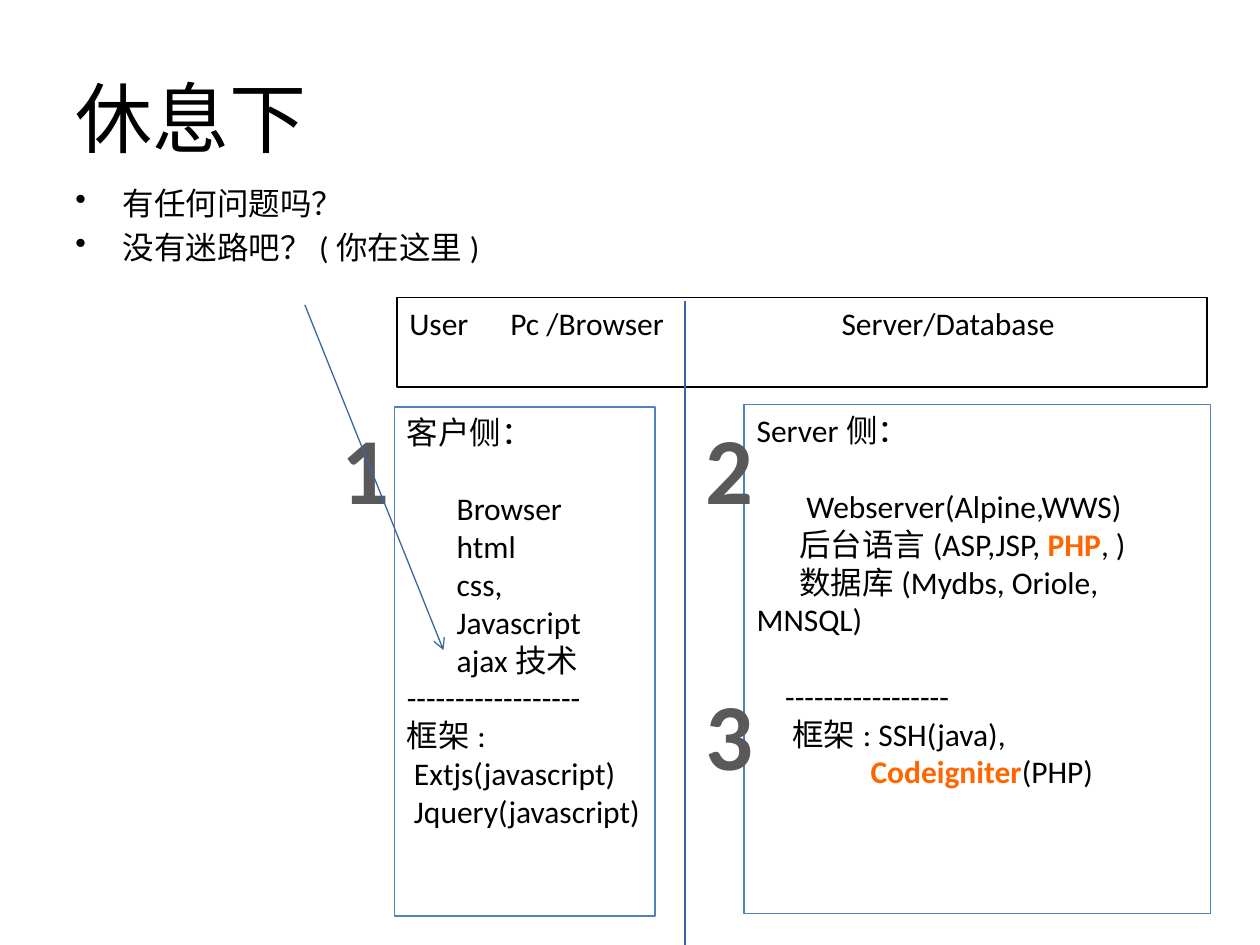
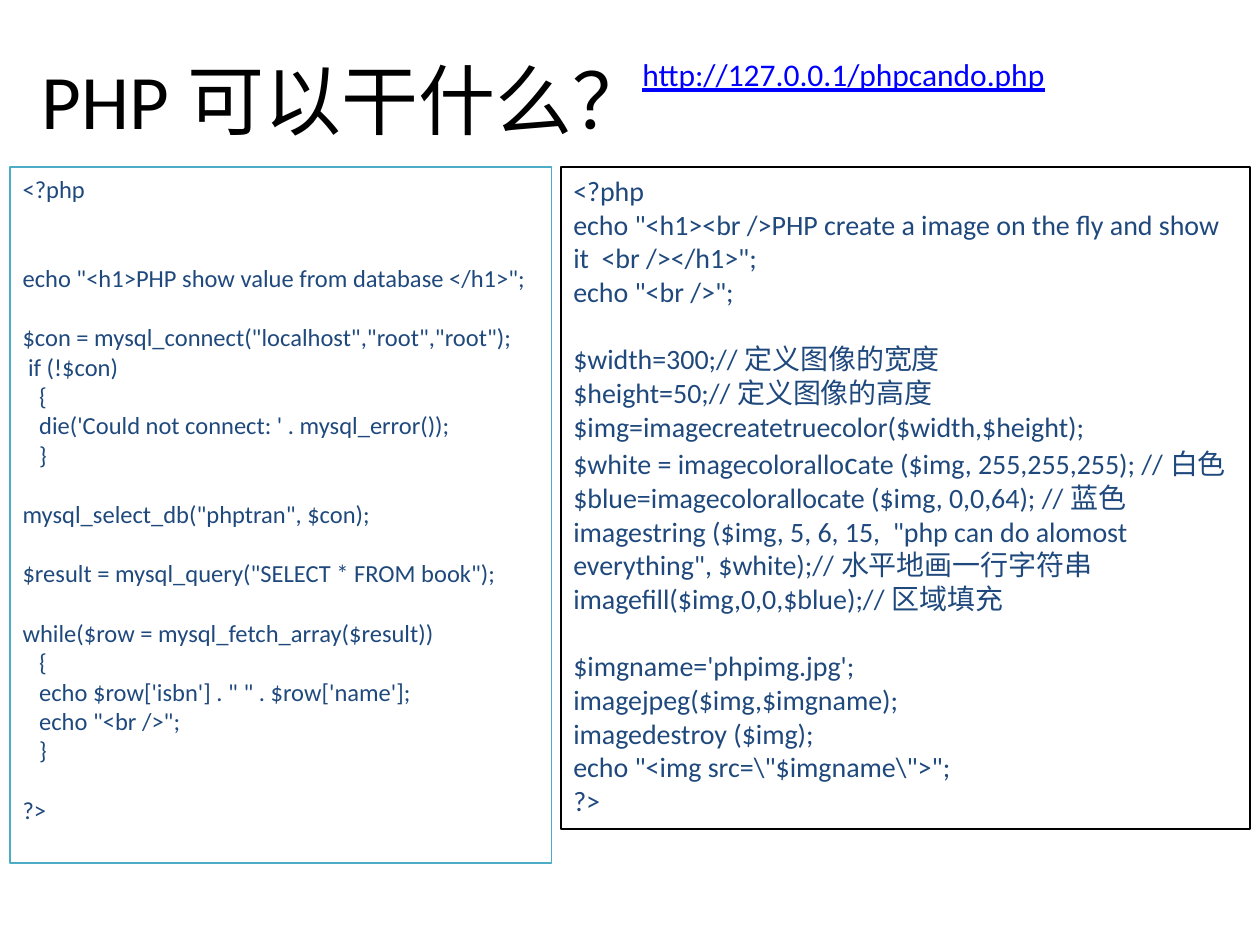
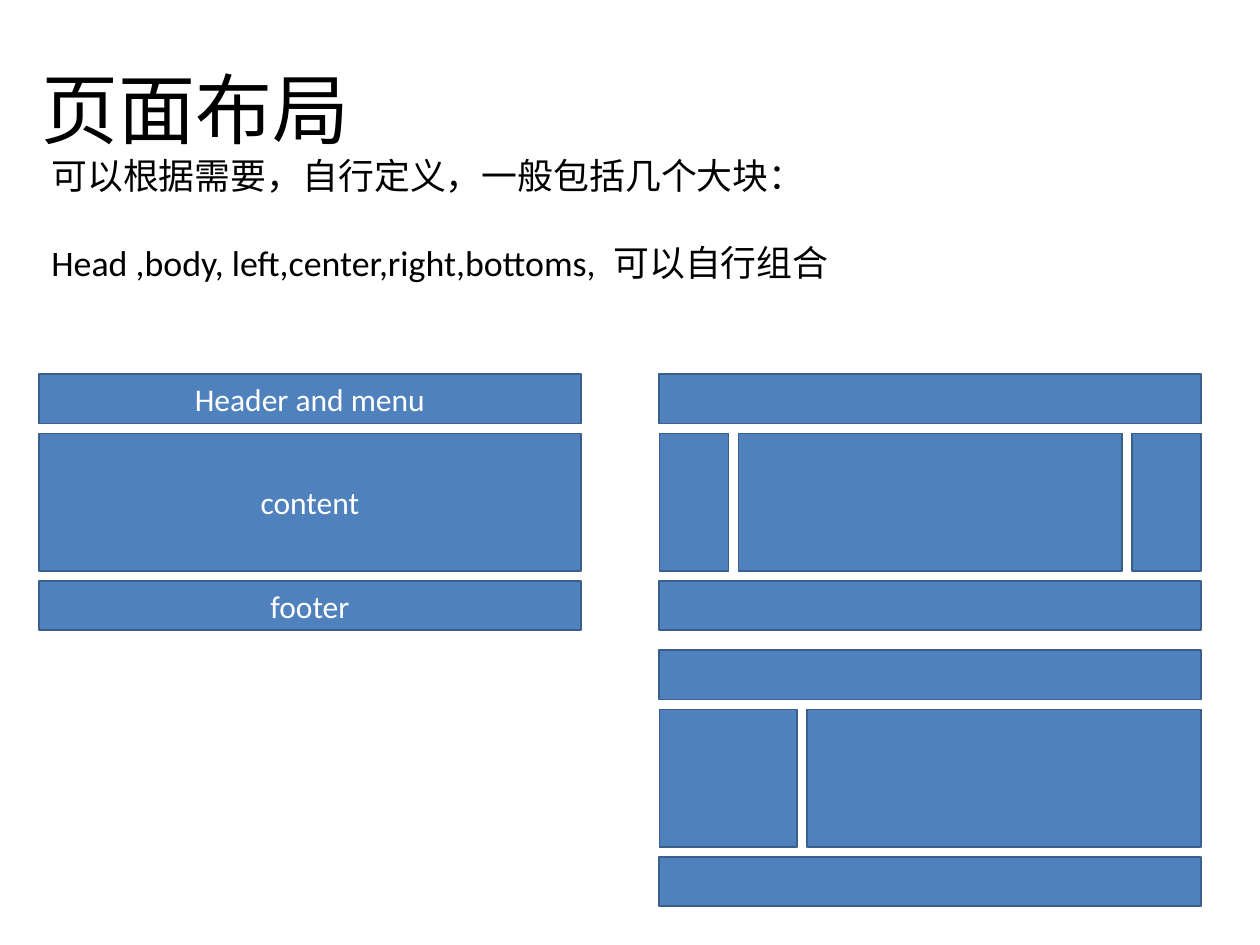
from dataclasses import dataclass

from lxml import etree
from pptx import Presentation
from pptx.dml.color import RGBColor
from pptx.enum import shapes, text
from pptx.oxml.ns import qn
from pptx.util import Pt


def rgb(value):
    return RGBColor.from_string(value)


@dataclass(frozen=True)
class Theme:
    font: str = "Calibri"
    black: RGBColor = rgb("000000")
    white: RGBColor = rgb("FFFFFF")
    blue: RGBColor = rgb("4F81BD")
    blue_edge: RGBColor = rgb("3A5F8C")
    connector: RGBColor = rgb("3B679C")
    teal: RGBColor = rgb("4BACC6")
    code: RGBColor = rgb("1F497D")
    link: RGBColor = rgb("0000FF")
    orange: RGBColor = rgb("FF6600")
    digit: RGBColor = rgb("595959")
    title_size: float = 44
    number_size: float = 54
    intro_size: float = 20.5
    body_size: float = 18
    code_size: float = 16
    small_code_size: float = 14
    line_height: float = 1.22
    space_width: float = 0.226


THEME = Theme()

CLIENT_TEXT = """客户侧：

       Browser
       html
       css,
       Javascript
       ajax技术
------------------
框架:
 Extjs(javascript)
 Jquery(javascript)"""

SERVER_TEXT = """Server侧：

       Webserver(Alpine,WWS)
      后台语言(ASP,JSP, «PHP», )
      数据库(Mydbs, Oriole, MNSQL)

    -----------------
     框架: SSH(java),
                «Codeigniter»(PHP)"""

DATABASE_CODE = """<?php


echo "<h1>PHP show value from database </h1>";

$con = mysql_connect("localhost","root","root");
 if (!$con)
   {
   die('Could not connect: ' . mysql_error());
   }

mysql_select_db("phptran", $con);

$result = mysql_query("SELECT * FROM book");

while($row = mysql_fetch_array($result))
   {
   echo $row['isbn'] . " " . $row['name'];
   echo "<br />";
   }

?>"""

IMAGE_CODE = r"""<?php
echo "<h1><br />PHP create a image on the fly and show it  <br /></h1>";
echo "<br />";

$width=300;//定义图像的宽度
$height=50;//定义图像的高度
$img=imagecreatetruecolor($width,$height);
$white = imagecolorallo«c»ate ($img, 255,255,255); //白色
$blue=imagecolorallocate ($img, 0,0,64); //蓝色
imagestring ($img, 5, 6, 15,  "php can do alomost everything", $white);//水平地画一行字符串
imagefill($img,0,0,$blue);//区域填充

$imgname='phpimg.jpg';
imagejpeg($img,$imgname);
imagedestroy ($img);
echo "<img src=\"$imgname\">";
?>"""


def set_font(font, size, color, bold=None):
    font.name = THEME.font
    font.size = Pt(size)
    font.color.rgb = color
    font.bold = bold


def highlight(font):
    font.bold = True
    font.color.rgb = THEME.orange


def enlarge(font):
    font.size = Pt(THEME.body_size)


def write_lines(frame, content, size, color=THEME.black, emphasis=highlight):
    """Blank lines become spacing, leading spaces become first-line indents."""
    blanks = 0
    paragraph = None
    for line in content.split("\n"):
        if not line:
            blanks += 1
            continue
        paragraph = frame.add_paragraph() if paragraph else frame.paragraphs[0]
        set_font(paragraph.font, size, color)
        paragraph.alignment = text.PP_ALIGN.LEFT
        paragraph.space_before = Pt(round(blanks * size * THEME.line_height, 1))
        blanks = 0
        spaces = len(line) - len(line.lstrip(" "))
        if spaces:
            indent = Pt(spaces * size * THEME.space_width)
            paragraph._p.get_or_add_pPr().set("indent", str(indent))
        for index, part in enumerate(line.strip().replace("»", "«").split("«")):
            run = paragraph.add_run()
            run.text = part
            if index % 2:
                emphasis(run.font)


def add_title(presentation, title, left, top):
    slide = presentation.slides.add_slide(presentation.slide_layouts[5])
    shape = slide.shapes.title
    shape.left, shape.top, shape.width, shape.height = map(Pt, (left, top, 648, 90))
    shape.text_frame.text = title
    shape.text_frame.vertical_anchor = text.MSO_ANCHOR.MIDDLE
    paragraph = shape.text_frame.paragraphs[0]
    paragraph.alignment = text.PP_ALIGN.LEFT
    set_font(paragraph.font, THEME.title_size, THEME.black)
    return slide


def add_box(slide, box, fill, edge):
    shape = slide.shapes.add_shape(shapes.MSO_SHAPE.RECTANGLE, *map(Pt, box))
    shape.shadow.inherit = False
    shape.fill.solid()
    shape.fill.fore_color.rgb = fill
    shape.line.color.rgb = edge
    shape.line.width = Pt(1)
    return shape


def add_panel(slide, box, edge, content, size, color=THEME.black, emphasis=highlight):
    frame = add_box(slide, box, THEME.white, edge).text_frame
    frame.vertical_anchor = text.MSO_ANCHOR.TOP
    write_lines(frame, content, size, color, emphasis)
    return frame


def add_label(slide, box, content, size, color=THEME.black, wrap=True):
    frame = slide.shapes.add_textbox(*map(Pt, box)).text_frame
    frame.word_wrap = wrap
    write_lines(frame, content, size, color)
    return frame


def add_line(slide, start, end, arrow=False):
    connector = slide.shapes.add_connector(
        shapes.MSO_CONNECTOR.STRAIGHT, *map(Pt, (*start, *end)))
    connector.line.color.rgb = THEME.connector
    connector.line.width = Pt(0.75)
    properties = connector._element.spPr
    if arrow:
        etree.SubElement(properties.find(qn("a:ln")), qn("a:tailEnd"), type="arrow")
    etree.SubElement(properties, qn("a:effectLst"))


def add_tab_stops(paragraph, positions):
    tabs = etree.SubElement(paragraph._p.get_or_add_pPr(), qn("a:tabLst"))
    for position in positions:
        etree.SubElement(tabs, qn("a:tab"), pos=str(Pt(position)), algn="l")


def add_bullets(slide, box, content):
    frame = add_label(slide, box, content, THEME.body_size)
    for paragraph in frame.paragraphs:
        paragraph.space_before = Pt(0.2 * THEME.body_size)
        properties = paragraph._p.get_or_add_pPr()
        properties.set("marL", str(Pt(27)))
        properties.set("indent", str(Pt(-27)))
        bullet = etree.Element(qn("a:buChar"), char="•")
        properties.find(qn("a:defRPr")).addprevious(bullet)


def add_tier_header(slide, box):
    frame = add_panel(slide, box, THEME.black,
                      "User\tPc /Browser\tServer/Database", THEME.body_size)
    paragraph = frame.paragraphs[0]
    add_tab_stops(paragraph, (57.8, 247))
    properties = paragraph._p.pPr
    properties.find(qn("a:defRPr")).addprevious(properties.find(qn("a:tabLst")))


def add_number(slide, left, top, number):
    frame = add_label(slide, (left, top, 37.5, 72.7), number,
                      THEME.number_size, THEME.digit)
    frame.paragraphs[0].alignment = text.PP_ALIGN.CENTER
    frame.paragraphs[0].font.bold = True


def add_page_layout(slide, left, top, columns, labels=()):
    width, gap = 309.6, 5.67
    rows = ((28.3, [None]), (78.5, columns), (28.3, [None]))
    labels = iter(labels)
    for height, cells in rows:
        fixed = sum(cell or 0 for cell in cells)
        flexible = width - fixed - gap * (len(cells) - 1)
        x = left
        for cell in cells:
            block_width = cell or flexible
            block = add_box(slide, (x, top, block_width, height),
                            THEME.blue, THEME.blue_edge)
            label = next(labels, None)
            if label:
                frame = block.text_frame
                frame.text = label
                frame.vertical_anchor = text.MSO_ANCHOR.MIDDLE
                frame.paragraphs[0].alignment = text.PP_ALIGN.CENTER
                set_font(frame.paragraphs[0].font, THEME.body_size, THEME.white)
            x += block_width + gap
        top += height + gap


def build_break_slide(presentation):
    slide = add_title(presentation, "休息下", 36, 21.6)
    add_bullets(slide, (36, 101.5, 648, 60), "有任何问题吗？\n没有迷路吧？(你在这里)")
    add_tier_header(slide, (226.8, 170, 463, 51))
    add_line(slide, (391.5, 172), (391.5, 540))
    add_panel(slide, (425.3, 231.2, 266.5, 290.8), THEME.blue,
              SERVER_TEXT, THEME.body_size)
    add_panel(slide, (225.4, 232.5, 149, 290.8), THEME.blue,
              CLIENT_TEXT, THEME.body_size)
    for number, left, top in (("1", 188, 230.5), ("2", 396, 231), ("3", 396, 383)):
        add_number(slide, left, top, number)
    add_line(slide, (174.2, 174.2), (253.4, 371.5), arrow=True)


def build_code_slide(presentation):
    slide = add_title(presentation, "PHP可以干什么？", 16.6, 11.5)
    add_panel(slide, (5.8, 95.6, 309.4, 397.4), THEME.teal,
              DATABASE_CODE, THEME.small_code_size, THEME.code)
    add_panel(slide, (320.5, 95.6, 393.8, 378), THEME.black,
              IMAGE_CODE, THEME.code_size, THEME.code, enlarge)
    frame = add_label(slide, (360, 28, 247.7, 51), "http://127.0.0.1/phpcando.php",
                      THEME.body_size, THEME.link, wrap=False)
    frame.paragraphs[0].font.underline = True


def build_layout_slide(presentation):
    slide = add_title(presentation, "页面布局", 16.6, 16.6)
    add_label(slide, (22.3, 84.4, 648, 90),
              "可以根据需要，自行定义，一般包括几个大块：\n\n"
              "Head ,body, left,center,right,bottoms, 可以自行组合", THEME.intro_size)
    add_page_layout(slide, 22.3, 213.8, [None], ("Header and menu", "content", "footer"))
    add_page_layout(slide, 376.8, 213.8, [39.5, None, 39.5])
    add_page_layout(slide, 376.8, 371.5, [78.5, None])


def main():
    presentation = Presentation()
    presentation.slide_width, presentation.slide_height = Pt(720), Pt(540)
    build_break_slide(presentation)
    build_code_slide(presentation)
    build_layout_slide(presentation)
    presentation.save("out.pptx")


if __name__ == "__main__":
    main()
